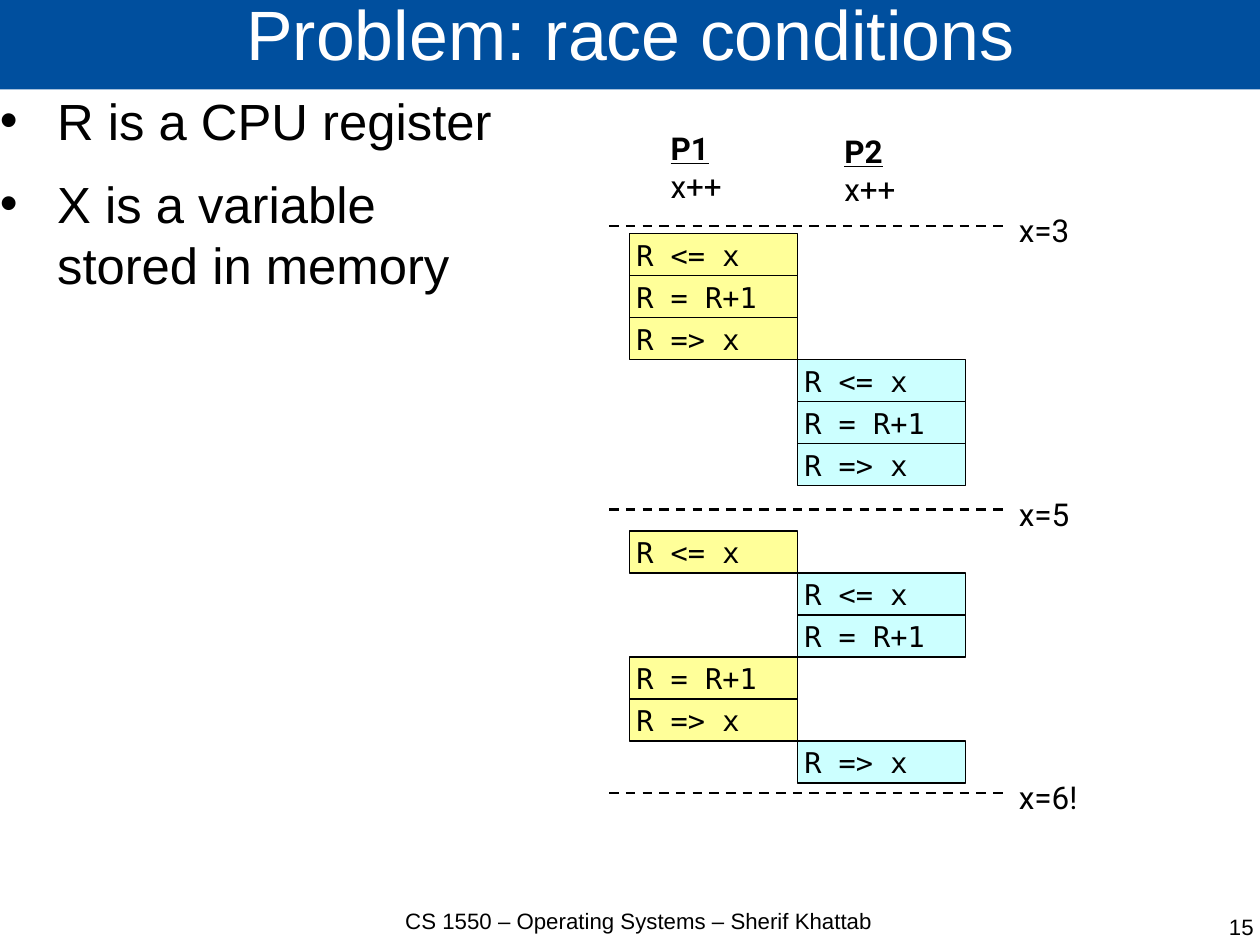
from dataclasses import dataclass

from lxml import etree
from pptx import Presentation
from pptx import util as u
from pptx.dml.color import RGBColor
from pptx.enum import dml, shapes, text
from pptx.oxml import ns

Pt = u.Pt
BLACK = RGBColor(0, 0, 0)
WHITE = RGBColor(255, 255, 255)
BLUE = RGBColor(0x00, 0x4F, 0x9E)
YELLOW = RGBColor(0xFF, 0xFF, 0x99)
CYAN = RGBColor(0xCC, 0xFF, 0xFF)

LOAD, ADD, STORE = "R <= x", "R = R+1", "R => x"
LEFT, WIDE, HIGH = 396.6, 105.8, 26.45
FILLS = (YELLOW, CYAN)


@dataclass
class Step:
    lane: int
    code: str


@dataclass
class Run:
    top: float
    steps: list[Step]


@dataclass
class Head:
    name: str
    left: float
    top: float


@dataclass
class Mark:
    label: str
    width: float


RUNS = [
    Run(147.25, [Step(0, LOAD), Step(0, ADD), Step(0, STORE),
                 Step(1, LOAD), Step(1, ADD), Step(1, STORE)]),
    Run(334.5, [Step(0, LOAD), Step(1, LOAD), Step(1, ADD),
                Step(0, ADD), Step(0, STORE), Step(1, STORE)]),
]
HEADS = [Head("P1", 415.4, 77.75), Head("P2", 524.8, 79.6)]
MARKS = [Mark("x=3", 47.5), Mark("x=5", 47.5), Mark("x=6!", 52.5)]


def write(shape, lines: list[str], size: float, font: str = "Arial",
          color: RGBColor = BLACK, align=text.PP_ALIGN.LEFT,
          anchor=text.MSO_ANCHOR.TOP, inset: tuple[float, float] = (0, 0),
          wrap: bool = True, space: float | None = None, after: float = 0,
          bullet: bool = False, title: bool = False) -> None:
    frame = shape.text_frame
    frame.word_wrap = wrap
    frame.vertical_anchor = anchor
    frame.margin_left = frame.margin_right = Pt(inset[0])
    frame.margin_top = frame.margin_bottom = Pt(inset[1])
    for i, line in enumerate(lines):
        para = frame.add_paragraph() if i else frame.paragraphs[0]
        if bullet:
            props = para._p.get_or_add_pPr()
            props.set("marL", str(Pt(36)))
            props.set("indent", str(Pt(-36)))
            etree.SubElement(props, ns.qn("a:buFont")).set("typeface", font)
            etree.SubElement(props, ns.qn("a:buChar")).set("char", "•")
        para.alignment = align
        para.space_after = Pt(after)
        if space:
            para.line_spacing = space
        run = para.add_run()
        run.text = line
        run.font.name = font
        run.font.size = Pt(size)
        run.font.color.rgb = color
        if title and i == 0:
            run.font.bold = run.font.underline = True


def box(slide, left: float, top: float, width: float, height: float):
    return slide.shapes.add_textbox(Pt(left), Pt(top), Pt(width), Pt(height))


def block(slide, left: float, top: float, width: float, height: float,
          fill: RGBColor, edge: bool = True):
    shape = slide.shapes.add_shape(shapes.MSO_SHAPE.RECTANGLE, Pt(left),
                                   Pt(top), Pt(width), Pt(height))
    shape.shadow.inherit = False
    shape.fill.solid()
    shape.fill.fore_color.rgb = fill
    if edge:
        shape.line.color.rgb = BLACK
        shape.line.width = Pt(0.75)
    else:
        shape.line.fill.background()
    return shape


def draw_step(slide, step: Step, top: float) -> None:
    cell = block(slide, LEFT + step.lane * WIDE, top, WIDE, HIGH,
                 FILLS[step.lane])
    write(cell, [step.code], 18, "DejaVu Sans Mono", wrap=False,
          anchor=text.MSO_ANCHOR.MIDDLE, inset=(4.3, 3.6))


def draw_mark(slide, mark: Mark, y: float) -> None:
    rule = slide.shapes.add_connector(shapes.MSO_CONNECTOR.STRAIGHT,
                                      Pt(383.75), Pt(y), Pt(635), Pt(y))
    rule.line.color.rgb = BLACK
    rule.line.width = Pt(1.5)
    rule.line.dash_style = dml.MSO_LINE.DASH
    etree.SubElement(rule._element.spPr, ns.qn("a:effectLst"))
    write(box(slide, 634.8, y - 12.9, mark.width, 31), [mark.label],
          19.8, "Roboto", inset=(7.2, 3.6), wrap=False)


def main() -> None:
    deck = Presentation()
    deck.slide_width, deck.slide_height = Pt(793.75), Pt(595.25)
    slide = deck.slides.add_slide(deck.slide_layouts[6])

    write(block(slide, 0, -1.8, 795, 58.2, BLUE, edge=False),
          ["Problem: race conditions"], 44, color=WHITE, space=0.69,
          align=text.PP_ALIGN.CENTER, anchor=text.MSO_ANCHOR.MIDDLE)
    write(box(slide, 0, 56.2, 321.8, 517),
          ["R is a CPU register", "X is a variable stored in memory"],
          32, after=14.2, bullet=True)
    write(box(slide, 221, 571.5, 362.9, 39.6),
          ["CS 1550 – Operating Systems – Sherif Khattab"], 14,
          align=text.PP_ALIGN.CENTER)
    write(box(slide, 607.6, 575.1, 182.2, 39.6), ["15"], 14,
          align=text.PP_ALIGN.RIGHT)

    for run in RUNS:
        for row, step in enumerate(run.steps):
            draw_step(slide, step, run.top + row * HIGH)
    for head in HEADS:
        write(box(slide, head.left, head.top, 48.2, 55.4),
              [head.name, "x++"], 19.8, "Roboto", inset=(7.2, 3.6),
              wrap=False, title=True)
    for i, mark in enumerate(MARKS):
        draw_mark(slide, mark, 142.5 + i * 178.5)

    deck.save("out.pptx")


if __name__ == "__main__":
    main()
